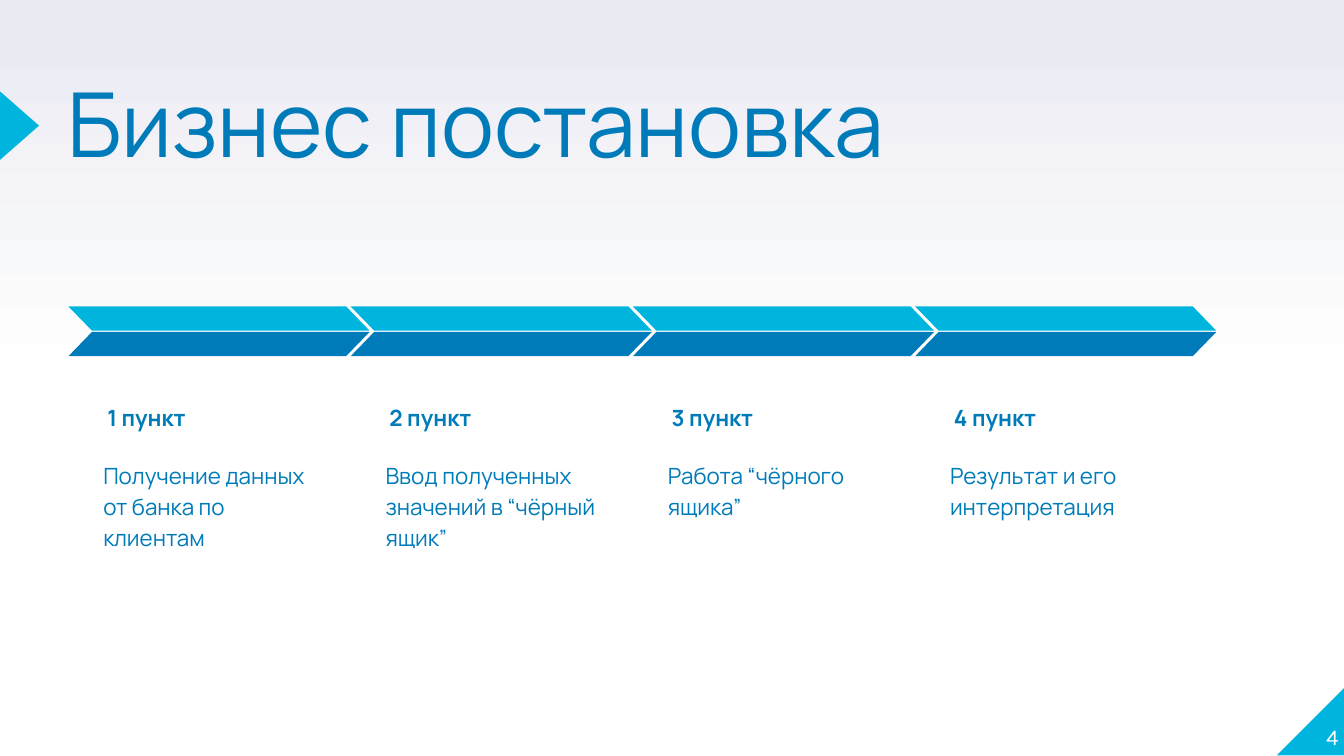
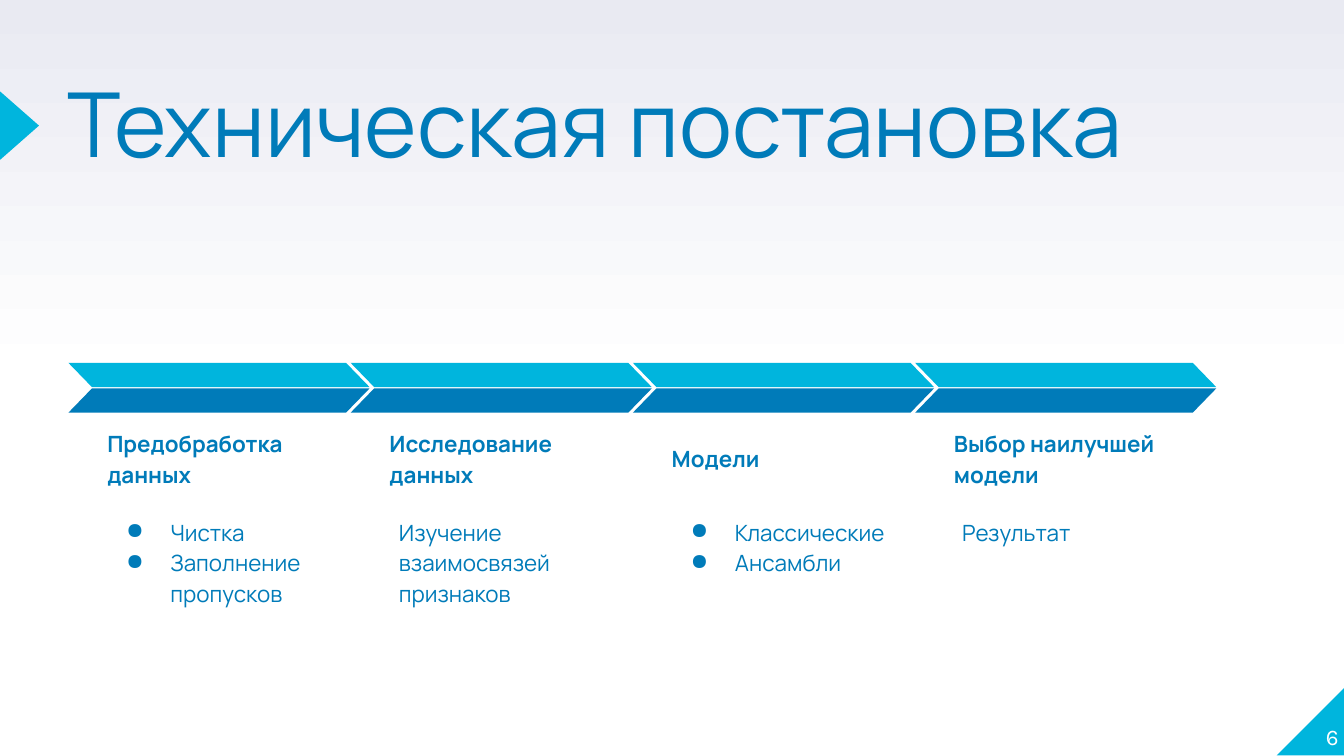
"""Builds two process slides with a shared frame and a four-step arrow band."""
from copy import deepcopy
from dataclasses import dataclass

from lxml import etree
from pptx import Presentation
from pptx.dml.color import RGBColor
from pptx.enum.shapes import MSO_SHAPE
from pptx.enum.text import MSO_ANCHOR, PP_ALIGN
from pptx.oxml.ns import qn
from pptx.util import Inches, Pt

SLANT = MSO_SHAPE.PARALLELOGRAM
CORNER = MSO_SHAPE.RIGHT_TRIANGLE
POINTER = MSO_SHAPE.ISOSCELES_TRIANGLE
TOP, BOTTOM = MSO_ANCHOR.TOP, MSO_ANCHOR.BOTTOM
LEFT, RIGHT = PP_ALIGN.LEFT, PP_ALIGN.RIGHT

CYAN, BLUE, WHITE, HAZE = "00B5DD", "007BB9", "FFFFFF", "E9EAF2"
STOPS = ((0, WHITE), (0.5, WHITE), (1, HAZE))
FIRST, PITCH = 0.51, 2.1


@dataclass(frozen=True)
class Style:
    """Look of the text in one box."""
    size: int = 12
    font: str = "Manrope"
    color: str = BLUE
    bold: bool = False
    align: int = LEFT
    anchor: int = TOP
    inset: float = 0.1
    line: float = 1.15
    after: int = 0
    dots: bool = False


@dataclass(frozen=True)
class Step:
    """One stage of the process."""
    head: str
    body: str
    dots: bool = False
    shift: float = 0
    anchor: int = BOTTOM


@dataclass(frozen=True)
class Page:
    """Content of one slide."""
    title: str
    width: float
    number: str
    top: float
    steps: tuple[Step, ...]


TITLE = Style(size=48, inset=0, line=0.8)
NUMBER = Style(font="Karla", color=WHITE, align=RIGHT, anchor=BOTTOM, inset=0, line=1)

PAGES = (
    Page("Бизнес постановка", 6.17, "4", 2.28, (
        Step("1 пункт", "Получение данных от банка по клиентам"),
        Step("2 пункт", "Ввод полученных значений в “чёрный ящик”"),
        Step("3 пункт", "Работа “чёрного ящика”"),
        Step("4 пункт", "Результат и его интерпретация"),
    )),
    Page("Техническая постановка", 8.1, "6", 2.7, (
        Step("Предобработка данных", "Чистка\nЗаполнение пропусков", dots=True),
        Step("Исследование данных", "Изучение взаимосвязей признаков", shift=0.1),
        Step("Модели", "Классические\nАнсамбли", dots=True, anchor=TOP),
        Step("Выбор наилучшей модели", "Результат", shift=0.09),
    )),
)


def paint(target, color: str) -> None:
    """Set a colour format to a hex colour."""
    target.rgb = RGBColor.from_string(color)


def add_dot(para) -> None:
    """Give a paragraph a round bullet and a hanging indent."""
    props = para._p.get_or_add_pPr()
    props.set("marL", str(Inches(0.5)))
    props.set("indent", str(Inches(-0.33)))
    tint = etree.SubElement(props, qn("a:buClr"))
    etree.SubElement(tint, qn("a:srgbClr")).set("val", BLUE)
    etree.SubElement(props, qn("a:buChar")).set("char", "●")


def add_text(shapes, box: tuple[float, ...], text: str, style: Style) -> None:
    """Add a wrapped text box in the given style."""
    frame = shapes.add_textbox(*map(Inches, box)).text_frame
    frame.word_wrap = True
    frame.vertical_anchor = style.anchor
    frame.margin_left = frame.margin_right = Inches(style.inset)
    frame.margin_top = frame.margin_bottom = Inches(style.inset)
    frame.text = text
    for para in frame.paragraphs:
        if style.dots:
            add_dot(para)
        para.alignment = style.align
        para.line_spacing = style.line
        para.space_after = Pt(style.after)
        for run in para.runs:
            run.font.name = style.font
            run.font.size = Pt(style.size)
            run.font.bold = style.bold
            paint(run.font.color, style.color)


def add_form(shapes, kind: int, box: tuple[float, ...], color: str, flip: bool = False):
    """Add a plain filled shape, mirrored if asked."""
    form = shapes.add_shape(kind, *map(Inches, box))
    form.shadow.inherit = False
    form.fill.solid()
    paint(form.fill.fore_color, color)
    form.line.fill.background()
    if flip:
        form.element.xpath(".//a:xfrm")[0].set("flipH", "1")
    return form


def add_frame(slide, page: Page) -> None:
    """Draw the backdrop, corner, pointer, title and page number."""
    fill = slide.background.fill
    fill.gradient()
    fill.gradient_angle = 90
    stops = slide.element.xpath(".//a:gsLst")[0]
    stops.append(deepcopy(stops[0]))
    for stop, (place, color) in zip(fill.gradient_stops, STOPS):
        stop.position = place
        paint(stop.color, color)
    add_form(slide.shapes, CORNER, (9.5, 5.11, 0.51, 0.51), CYAN, flip=True)
    add_form(slide.shapes, POINTER, (-0.11, 0.79, 0.51, 0.29), CYAN).rotation = 90
    add_text(slide.shapes, (0.5, 0.66, page.width, 1.18), page.title, TITLE)
    add_text(slide.shapes, (9.46, 5.07, 0.5, 0.51), page.number, NUMBER)


def add_step(slide, left: float, top: float, step: Step) -> None:
    """Draw one stage as a group: two slanted bars, heading and body."""
    shapes = slide.shapes.add_group_shape().shapes
    head = Style(bold=True, anchor=step.anchor)
    body = Style(dots=step.dots, after=0 if step.dots else 16)
    add_text(shapes, (left + 0.19, top + 0.48, 1.84, 0.55), step.head, head)
    add_text(shapes, (left + 0.16 + step.shift, top + 1.03, 1.89, 0.9), step.body, body)
    for drop, color, flip in ((0, CYAN, True), (0.19, BLUE, False)):
        bar = add_form(shapes, SLANT, (left, top + drop, 2.24, 0.18), color, flip)
        bar.adjustments[0] = 0.97


def main() -> None:
    """Build and save the deck."""
    deck = Presentation()
    deck.slide_width = Inches(10)
    deck.slide_height = Inches(10) * 9 // 16
    for page in PAGES:
        slide = deck.slides.add_slide(deck.slide_layouts[6])
        add_frame(slide, page)
        for index, step in enumerate(page.steps):
            add_step(slide, FIRST + index * PITCH, page.top, step)
    deck.save("out.pptx")


if __name__ == "__main__":
    main()
